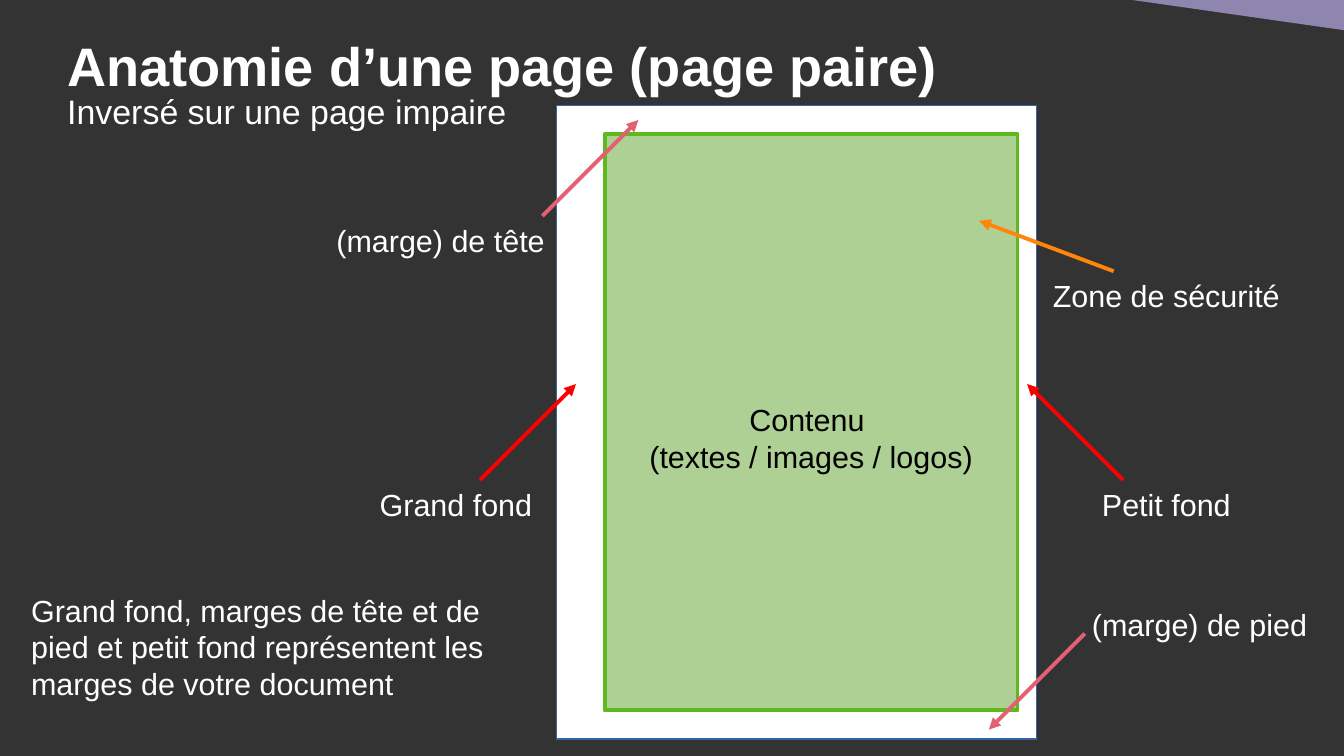
from dataclasses import dataclass

from lxml import etree
from pptx import Presentation
from pptx.dml.color import RGBColor
from pptx.enum.shapes import MSO_CONNECTOR, MSO_SHAPE
from pptx.enum.text import MSO_ANCHOR, MSO_AUTO_SIZE, PP_ALIGN
from pptx.oxml.ns import qn
from pptx.util import Cm, Pt

LEFT, CENTER, RIGHT = PP_ALIGN.LEFT, PP_ALIGN.CENTER, PP_ALIGN.RIGHT
TOP, MIDDLE = MSO_ANCHOR.TOP, MSO_ANCHOR.MIDDLE
RECTANGLE, TRIANGLE = MSO_SHAPE.RECTANGLE, MSO_SHAPE.RIGHT_TRIANGLE
STRAIGHT = MSO_CONNECTOR.STRAIGHT
NO_AUTOFIT = MSO_AUTO_SIZE.NONE

LABEL_WIDTH, LABEL_HEIGHT = 5.4, 0.97


@dataclass(frozen=True)
class Theme:
    font: str = "Arial"
    title_size: float = 32
    subtitle_size: float = 20
    label_size: float = 18
    stroke: float = 2.3
    background: str = "333333"
    light: str = "FFFFFF"
    dark: str = "000000"
    corner: str = "8E86AE"
    page_edge: str = "3465A4"
    safe_fill: str = "AFD095"
    safe_edge: str = "5EB91E"
    side_margin: str = "FF0000"
    end_margin: str = "E16173"
    safe_arrow: str = "FF860D"


class PageDiagram:
    def __init__(self, deck, theme):
        self.theme = theme
        self.slide = deck.slides.add_slide(deck.slide_layouts[0])
        fill = self.slide.background.fill
        fill.solid()
        fill.fore_color.rgb = RGBColor.from_string(theme.background)

    def set_text(self, frame, text, size, color, align=LEFT, bold=False):
        frame.text = text
        frame.word_wrap = True
        for para in frame.paragraphs:
            para.alignment = align
            para.space_before = Pt(0)
            for span in para.runs:
                span.font.name = self.theme.font
                span.font.size = Pt(size)
                span.font.bold = bold
                span.font.color.rgb = RGBColor.from_string(color)

    def heading(self, index, text, bounds, size, anchor, bold=False):
        box = self.slide.placeholders[index]
        box.left, box.top, box.width, box.height = map(Cm, bounds)
        frame = box.text_frame
        frame.margin_left = frame.margin_right = 0
        frame.margin_top = frame.margin_bottom = 0
        frame.auto_size = NO_AUTOFIT
        frame.vertical_anchor = anchor
        self.set_text(frame, text, size, self.theme.light, bold=bold)

    def shape(self, kind, bounds, fill, edge=None, stroke=0, rotation=0):
        box = self.slide.shapes.add_shape(kind, *map(Cm, bounds))
        box.shadow.inherit = False
        box.rotation = rotation
        box.fill.solid()
        box.fill.fore_color.rgb = RGBColor.from_string(fill)
        if edge:
            box.line.color.rgb = RGBColor.from_string(edge)
            box.line.width = Pt(stroke)
        else:
            box.line.fill.background()

    def label(self, text, left, top, align=LEFT, color=None,
              width=LABEL_WIDTH, height=LABEL_HEIGHT):
        box = self.slide.shapes.add_textbox(*map(Cm, (left, top, width, height)))
        self.set_text(box.text_frame, text, self.theme.label_size,
                      color or self.theme.light, align)

    def arrow(self, start, end, color):
        arrow = self.slide.shapes.add_connector(STRAIGHT, *map(Cm, start + end))
        arrow.line.color.rgb = RGBColor.from_string(color)
        arrow.line.width = Pt(self.theme.stroke)
        properties = arrow._element.spPr
        etree.SubElement(properties.find(qn("a:ln")), qn("a:tailEnd"), type="triangle")
        etree.SubElement(properties, qn("a:effectLst"))


def main():
    theme = Theme()
    deck = Presentation()
    deck.slide_width, deck.slide_height = Cm(28), Cm(15.75)
    diagram = PageDiagram(deck, theme)

    diagram.heading(0, "Anatomie d’une page (page paire)", (1.4, 0.64, 25.2, 1.42),
                    theme.title_size, MIDDLE, bold=True)
    diagram.heading(1, "Inversé sur une page impaire", (1.4, 1.88, 9.6, 1.42),
                    theme.subtitle_size, TOP)

    diagram.shape(TRIANGLE, (20.93, -0.38, 7.29, 1.04), theme.corner, rotation=180)
    diagram.shape(RECTANGLE, (11.6, 2.2, 10, 13.2), theme.light, theme.page_edge)
    diagram.shape(RECTANGLE, (12.6, 2.8, 8.6, 12), theme.safe_fill,
                  theme.safe_edge, theme.stroke)

    callouts = [
        ("Grand fond", 6.8, 10, CENTER, (10, 10), (12, 8), theme.side_margin),
        ("Petit fond", 21.6, 10, CENTER, (23.4, 10), (21.4, 8), theme.side_margin),
        ("Zone de sécurité", 21.6, 5.65, CENTER, (23.2, 5.65), (20.4, 4.6), theme.safe_arrow),
        ("(marge) de tête", 6.2, 4.5, RIGHT, (11.3, 4.5), (13.3, 2.5), theme.end_margin),
        ("(marge) de pied", 22.5, 12.5, LEFT, (22.6, 13.2), (20.6, 15.2), theme.end_margin),
    ]
    for text, left, top, align, start, end, color in callouts:
        diagram.arrow(start, end, color)
        diagram.label(text, left, top, align)

    diagram.label("Contenu \n(textes / images / logos)", 13, 8.23, CENTER, theme.dark,
                  width=7.8, height=1.68)
    diagram.label("Grand fond, marges de tête et de pied et petit fond "
                  "représentent les marges de votre document",
                  0.4, 12.2, width=10, height=2.4)

    deck.save("out.pptx")


if __name__ == "__main__":
    main()
